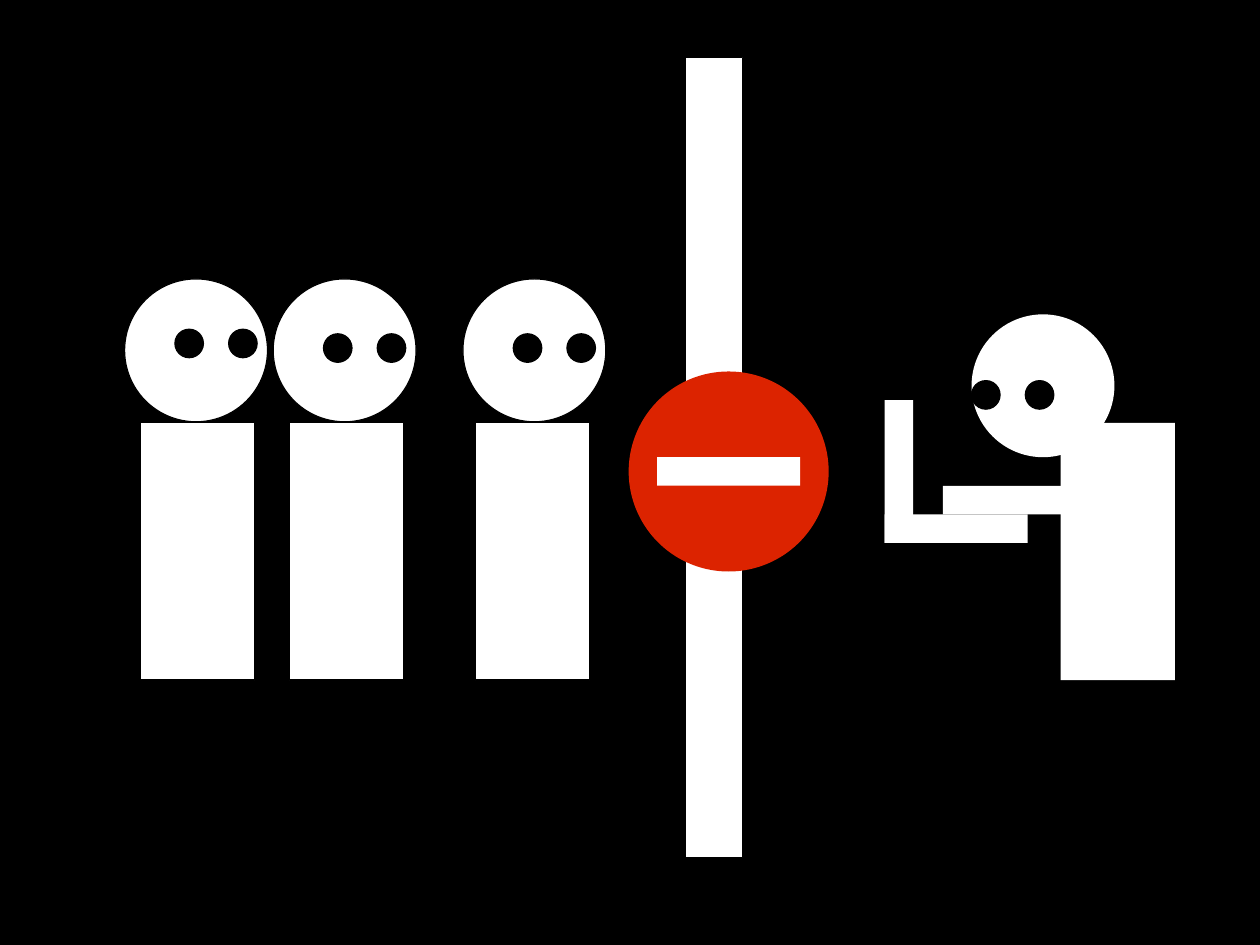
"""Build a slide where a barrier keeps three figures from a fourth at a laptop."""
import dataclasses

import pptx
import pptx.dml.color
import pptx.enum.shapes
import pptx.util

Pt = pptx.util.Pt
MSO_SHAPE = pptx.enum.shapes.MSO_SHAPE


@dataclasses.dataclass(frozen=True)
class Theme:
    """Colours of the slide."""
    dark: str = "000000"
    light: str = "FFFFFF"
    stop: str = "DC2300"


class Scene:
    """Draws plain shapes and figures on one slide, in points."""
    HEAD = 90
    EYE = 18
    EYE_STEP = 33.84
    BODY = (72, 162)
    BODY_TOP = 266.4

    def __init__(self, slide, theme):
        """Keep the slide and theme and paint the background."""
        self.s, self.theme = slide, theme
        self.paint(slide.background.fill, theme.dark)

    def paint(self, fill, color):
        """Set a solid fill."""
        fill.solid()
        fill.fore_color.rgb = pptx.dml.color.RGBColor.from_string(color)

    def shape(self, kind, x, y, w, h, color, outlined):
        """Add a preset shape with an optional hairline."""
        sp = self.s.shapes.add_shape(kind, Pt(x), Pt(y), Pt(w), Pt(h))
        sp.shadow.inherit = False
        self.paint(sp.fill, color)
        if outlined:
            self.paint(sp.line.fill, self.theme.dark)
            sp.line.width = Pt(0)
        else:
            sp.line.fill.background()

    def bar(self, x, y, w, h, outlined=False):
        """Add a light rectangle."""
        self.shape(MSO_SHAPE.RECTANGLE, x, y, w, h, self.theme.light, outlined)

    def disc(self, x, y, size, color, outlined=False):
        """Add a circle."""
        self.shape(MSO_SHAPE.OVAL, x, y, size, size, color, outlined)

    def figure(self, head, body_x, eyes, outlined=True):
        """Add a head, a body and a pair of eyes."""
        self.disc(*head, self.HEAD, self.theme.light, outlined)
        self.bar(body_x, self.BODY_TOP, *self.BODY, outlined)
        eye_x, eye_y = eyes
        for i in range(2):
            self.disc(eye_x + i * self.EYE_STEP, eye_y, self.EYE,
                      self.theme.dark, True)


def main():
    """Build and save the slide."""
    prs = pptx.Presentation()
    prs.slide_width, prs.slide_height = Pt(793.7), Pt(595.28)
    theme = Theme()
    scene = Scene(prs.slides.add_slide(prs.slide_layouts[6]), theme)

    head_y = 175.68
    for head_x, body_x, eye_x, eye_y in [
        (78.48, 88.56, 110.16, 207.36),
        (172.08, 182.16, 203.76, 210.24),
        (291.6, 299.52, 323.28, 210.24),
    ]:
        scene.figure((head_x, head_y), body_x, (eye_x, eye_y))

    scene.bar(432, 36, 36, 504, outlined=True)

    scene.figure((612, 198), 668.16, (612, 239.76), outlined=False)
    laptop_base = (557.28, 324, 90, 18)
    laptop_screen = (557.28, 252, 18, 90)
    arm = (594, 306, 90, 18)
    for box in (laptop_base, laptop_screen, arm):
        scene.bar(*box)

    scene.disc(396, 234, 126, theme.stop)
    scene.bar(414, 288, 90, 18)
    prs.save("out.pptx")


if __name__ == "__main__":
    main()
